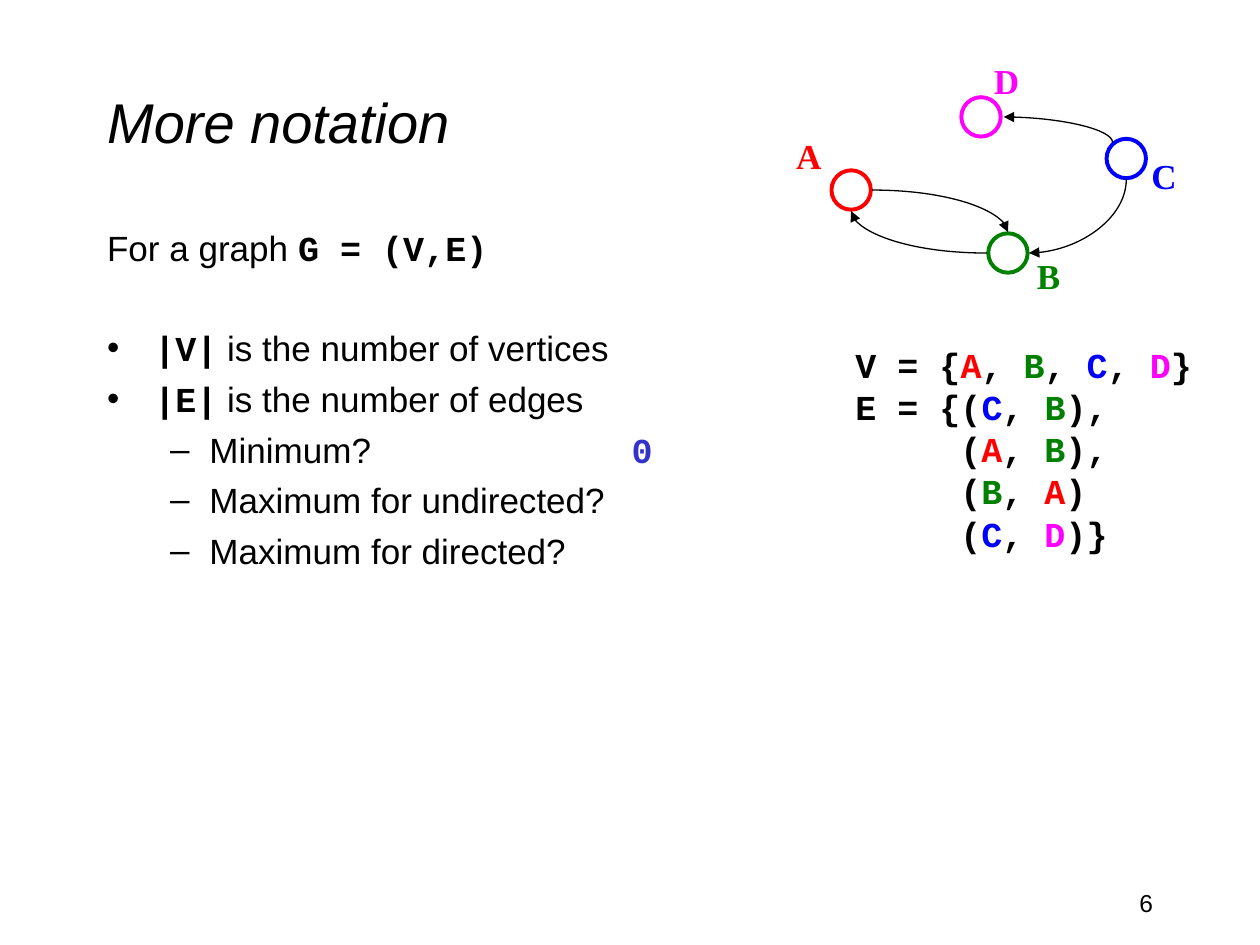
from itertools import groupby
from lxml import etree
from pptx import Presentation
from pptx.dml.color import RGBColor
from pptx.enum import shapes, text
from pptx.oxml.ns import qn
from pptx.util import Pt

BLACK = RGBColor(0, 0, 0)
WHITE = RGBColor(255, 255, 255)
INDIGO = RGBColor(0x33, 0x33, 0xCC)
INK = {
    "A": RGBColor(255, 0, 0),
    "B": RGBColor(0, 0x80, 0),
    "C": RGBColor(0, 0, 255),
    "D": RGBColor(255, 0, 255),
}
SANS, MONO, SERIF = "Arial", "Courier New", "Times New Roman"

TITLE = "More notation"
# level, bullet, space before, (text, font) parts
BODY = [
    (0, None, 5, [("For a graph ", SANS), ("G = (V,E)", MONO)]),
    (0, "•", 33, [("|V|", MONO), (" is the number of vertices", SANS)]),
    (0, "•", 5, [("|E|", MONO), (" is the number of edges", SANS)]),
    (1, "–", 5, [("Minimum?", SANS)]),
    (1, "–", 5, [("Maximum for undirected?", SANS)]),
    (1, "–", 5, [("Maximum for directed?", SANS)]),
]
INDENTS = [(27, -27), (58.5, -22.5)]  # left margin, first line
# indent in characters, text
SETS = [
    (0, "V = {A, B, C, D}"),
    (0, "E = {(C, B),"),
    (5, "(A, B),"),
    (5, "(B, A)"),
    (5, "(C, D)}"),
]
CHAR = 12  # width of one 20 pt Courier New character

# circle centre, label corner
NODES = {
    "A": ((486.4, 108.6), (447.8, 73.4)),
    "B": ((576, 144.6), (585.4, 141.8)),
    "C": ((643.6, 90.6), (650.9, 85)),
    "D": ((560.6, 66.8), (560.9, 30.2)),
}
SIZE, GAP = 22.5, 12
# level end: node, dx; upright end: node, dx, dy; end with the arrow
LINKS = [
    ("B", GAP, "C", 0, GAP, "headEnd"),
    ("B", -GAP, "A", 0, GAP, "tailEnd"),
    ("A", GAP, "B", 0, -GAP, "tailEnd"),
    ("D", GAP + 1, "C", -7.8, -9.2, "headEnd"),
]


def style(run, font, size, color=BLACK, bold=False):
    run.font.name, run.font.size = font, Pt(size)
    run.font.color.rgb, run.font.bold = color, bold


def indent(para, left, first, bullet=None):
    props = para._p.get_or_add_pPr()
    props.set("marL", str(Pt(left)))
    props.set("indent", str(Pt(first)))
    if bullet:
        etree.SubElement(props, qn("a:buChar"), char=bullet)
    else:
        etree.SubElement(props, qn("a:buNone"))


def place(shape, left, top, width, height):
    shape.left, shape.top = Pt(left), Pt(top)
    shape.width, shape.height = Pt(width), Pt(height)


def label(slide, words, box, font, size, color=BLACK, bold=False):
    frame = slide.shapes.add_textbox(*map(Pt, box)).text_frame
    frame.word_wrap = False
    frame.text = words
    style(frame.paragraphs[0].runs[0], font, size, color, bold)
    return frame


def add_text(slide):
    title = slide.shapes.title
    place(title, 54, 24, 612, 90)
    frame = title.text_frame
    frame.text = TITLE
    frame.vertical_anchor = text.MSO_ANCHOR.MIDDLE
    para = frame.paragraphs[0]
    para.alignment = text.PP_ALIGN.LEFT
    style(para.runs[0], SANS, 32)
    para.runs[0].font.italic = True

    body = slide.placeholders[1]
    place(body, 54, 126, 517.5, 354)
    frame = body.text_frame
    frame.auto_size = text.MSO_AUTO_SIZE.NONE
    for i, (level, bullet, before, parts) in enumerate(BODY):
        para = frame.add_paragraph() if i else frame.paragraphs[0]
        para.level, para.space_before = level, Pt(before)
        indent(para, *INDENTS[level], bullet)
        for words, font in parts:
            run = para.add_run()
            run.text = words
            style(run, font, 20, bold=font == MONO)

    answer = label(slide, "0", (361, 245, 14, 24), MONO, 20, INDIGO, True)
    answer.margin_left = answer.margin_top = 0
    page = label(slide, "6", (516, 504, 150, 36), SANS, 14)
    page.word_wrap = True
    page.paragraphs[0].alignment = text.PP_ALIGN.RIGHT


def add_sets(slide):
    frame = slide.shapes.add_textbox(*map(Pt, (481.7, 193, 208, 128))).text_frame
    frame.word_wrap = False
    for i, (chars, line) in enumerate(SETS):
        para = frame.add_paragraph() if i else frame.paragraphs[0]
        indent(para, chars * CHAR, 0)
        for color, letters in groupby(line, lambda c: INK.get(c, BLACK)):
            run = para.add_run()
            run.text = "".join(letters)
            style(run, MONO, 20, color, True)


def add_graph(slide):
    for name, ((x, y), corner) in NODES.items():
        box = (x - SIZE / 2, y - SIZE / 2, SIZE, SIZE)
        node = slide.shapes.add_shape(shapes.MSO_SHAPE.OVAL, *map(Pt, box))
        node.shadow.inherit = False
        node.fill.solid()
        node.fill.fore_color.rgb = WHITE
        node.line.color.rgb, node.line.width = INK[name], Pt(2.25)
        label(slide, name, (*corner, 29, 31), SERIF, 20, INK[name], True)

    for one, dx, two, ox, oy, end in LINKS:
        (x1, y1), (x2, y2) = NODES[one][0], NODES[two][0]
        ends = (x1 + dx, y1, x2 + ox, y2 + oy)
        link = slide.shapes.add_connector(shapes.MSO_CONNECTOR.CURVE, *map(Pt, ends))
        link.line.color.rgb, link.line.width = BLACK, Pt(0.75)
        props = link._element.spPr
        props.find(qn("a:prstGeom")).set("prst", "curvedConnector2")
        etree.SubElement(props.find(qn("a:ln")), qn("a:" + end), type="triangle")
        etree.SubElement(props, qn("a:effectLst"))


def main():
    deck = Presentation()
    deck.slide_width, deck.slide_height = Pt(720), Pt(540)
    slide = deck.slides.add_slide(deck.slide_layouts[1])
    add_text(slide)
    add_graph(slide)
    add_sets(slide)
    deck.save("out.pptx")


if __name__ == "__main__":
    main()
